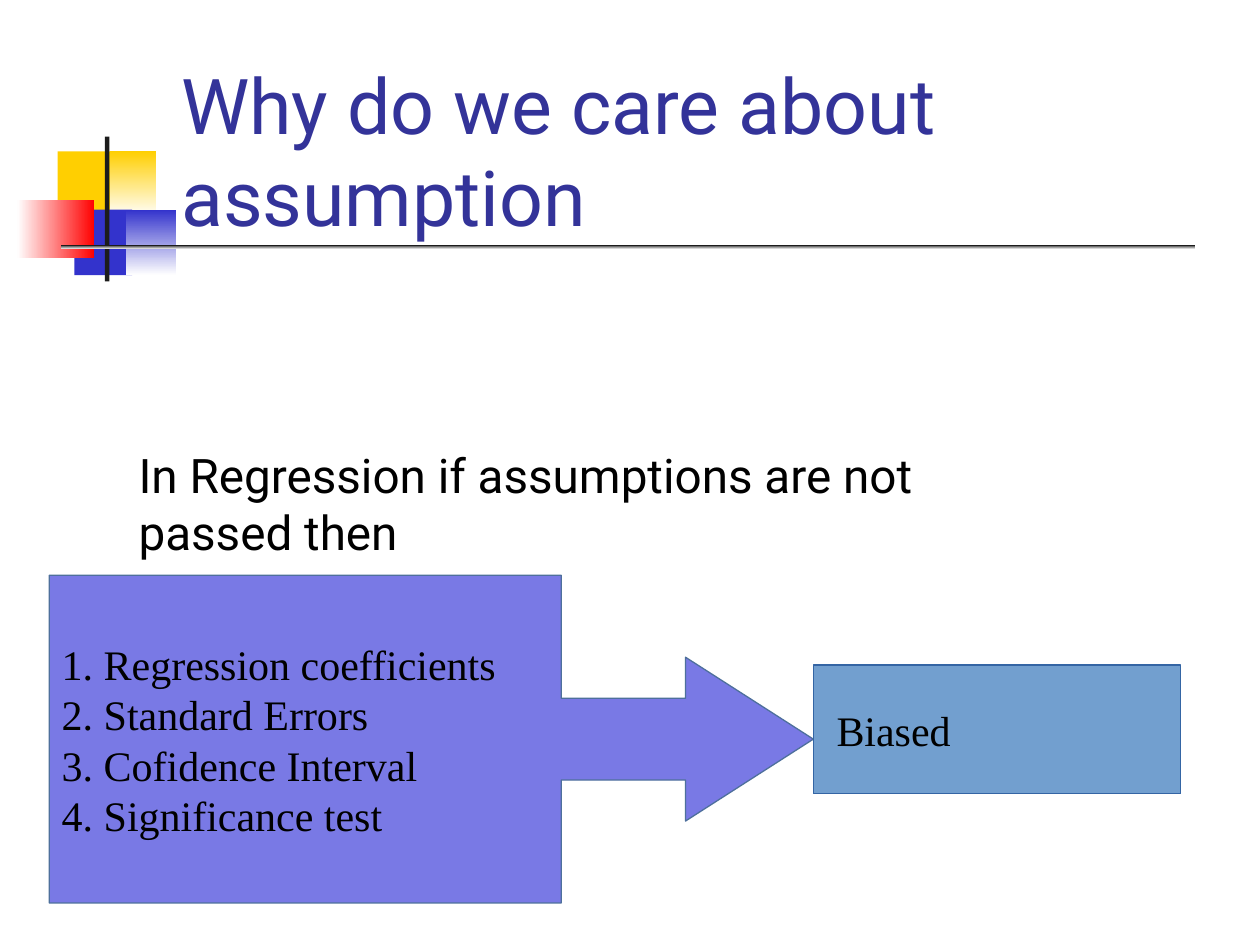
from pptx import Presentation
from pptx.dml.color import RGBColor
from pptx.enum.shapes import MSO_SHAPE
from pptx.enum.text import MSO_ANCHOR, PP_ALIGN
from pptx.util import Pt

RECTANGLE = MSO_SHAPE.RECTANGLE
ARROW_CALLOUT = MSO_SHAPE.RIGHT_ARROW_CALLOUT
PROCESS = MSO_SHAPE.FLOWCHART_PROCESS
TOP, MIDDLE, BOTTOM = MSO_ANCHOR.TOP, MSO_ANCHOR.MIDDLE, MSO_ANCHOR.BOTTOM
LEFT = PP_ALIGN.LEFT

UP, LEFTWARD = 90, 180
WHITE, YELLOW, BLUE, RED, DARK = "FFFFFF", "FFCF01", "3333CC", "FF0000", "1C1C1C"


def color(hex_string):
    return RGBColor.from_string(hex_string)


class SlideBuilder:
    heading_font = "Roboto"
    box_font = "Times New Roman"
    text_color = "000000"
    box_size = 24

    def __init__(self, slide):
        self.slide = slide

    def shape(self, kind, box, fill, line=None):
        shape = self.slide.shapes.add_shape(kind, *map(Pt, box))
        shape.shadow.inherit = False
        shape.fill.solid()
        shape.fill.fore_color.rgb = color(fill)
        if line:
            shape.line.color.rgb = color(line)
            shape.line.width = Pt(0)
        else:
            shape.line.fill.background()
        return shape

    def gradient(self, box, start, end, angle):
        shape = self.shape(RECTANGLE, box, start)
        shape.fill.gradient()
        shape.fill.gradient_angle = angle
        for stop, hex_string in zip(shape.fill.gradient_stops, (start, end)):
            stop.color.rgb = color(hex_string)

    def set_text(self, shape, text, font, size, hex_string, anchor, left_inset=7.2):
        text_frame = shape.text_frame
        text_frame.word_wrap = True
        text_frame.vertical_anchor = anchor
        text_frame.margin_left = Pt(left_inset)
        text_frame.text = text
        for paragraph in text_frame.paragraphs:
            paragraph.alignment = LEFT
            for run in paragraph.runs:
                run.font.name = font
                run.font.size = Pt(size)
                run.font.color.rgb = color(hex_string)

    def text(self, box, text, size, hex_string, anchor, left_inset=7.2):
        shape = self.slide.shapes.add_textbox(*map(Pt, box))
        self.set_text(shape, text, self.heading_font, size, hex_string, anchor, left_inset)

    def text_shape(self, kind, box, text, fill, line, left_inset=7.2):
        shape = self.shape(kind, box, fill, line)
        self.set_text(shape, text, self.box_font, self.box_size, self.text_color,
                      MIDDLE, left_inset)
        return shape


def main():
    presentation = Presentation()
    presentation.slide_width, presentation.slide_height = Pt(720), Pt(540)
    slide = presentation.slides.add_slide(presentation.slide_layouts[6])
    builder = SlideBuilder(slide)

    # Corner ornament and title rule
    builder.shape(RECTANGLE, (33, 86.5, 34.5, 37.5), YELLOW)
    builder.gradient((63, 86.5, 26, 37.5), WHITE, YELLOW, UP)
    builder.shape(RECTANGLE, (42.5, 119.8, 33, 37.5), BLUE)
    builder.gradient((72, 119.8, 28.8, 37.5), WHITE, BLUE, UP)
    builder.gradient((10, 114, 44, 33.3), RED, WHITE, LEFTWARD)
    builder.shape(RECTANGLE, (60, 78, 2.5, 82.8), DARK)
    builder.gradient((34.8, 140, 648, 2.5), WHITE, DARK, UP)

    # Title and lead-in
    builder.text((96.5, 28.8, 612, 113), "Why do we care about assumption",
                 44, "333399", BOTTOM)
    builder.text((45.4, 251, 504, 138), "In Regression if assumptions are not passed then",
                 27.2, builder.text_color, TOP, left_inset=33.8)

    # Affected results pointing at the outcome
    results = ("Regression coefficients", "Standard Errors",
               "Cofidence Interval", "Significance test")
    numbered = "\n".join(f"{number}. {name}" for number, name in enumerate(results, 1))
    callout = builder.text_shape(ARROW_CALLOUT, (28.2, 328.8, 436.6, 187.2),
                                 numbered, "7979E5", "4E709C")
    for index, value in enumerate((0.25, 0.25, 0.39, 0.67)):
        callout.adjustments[index] = value
    builder.text_shape(PROCESS, (464.8, 380, 209.8, 73.6), "Biased",
                       "729FCF", "3465A4", left_inset=13.2)

    presentation.save("out.pptx")


if __name__ == "__main__":
    main()
